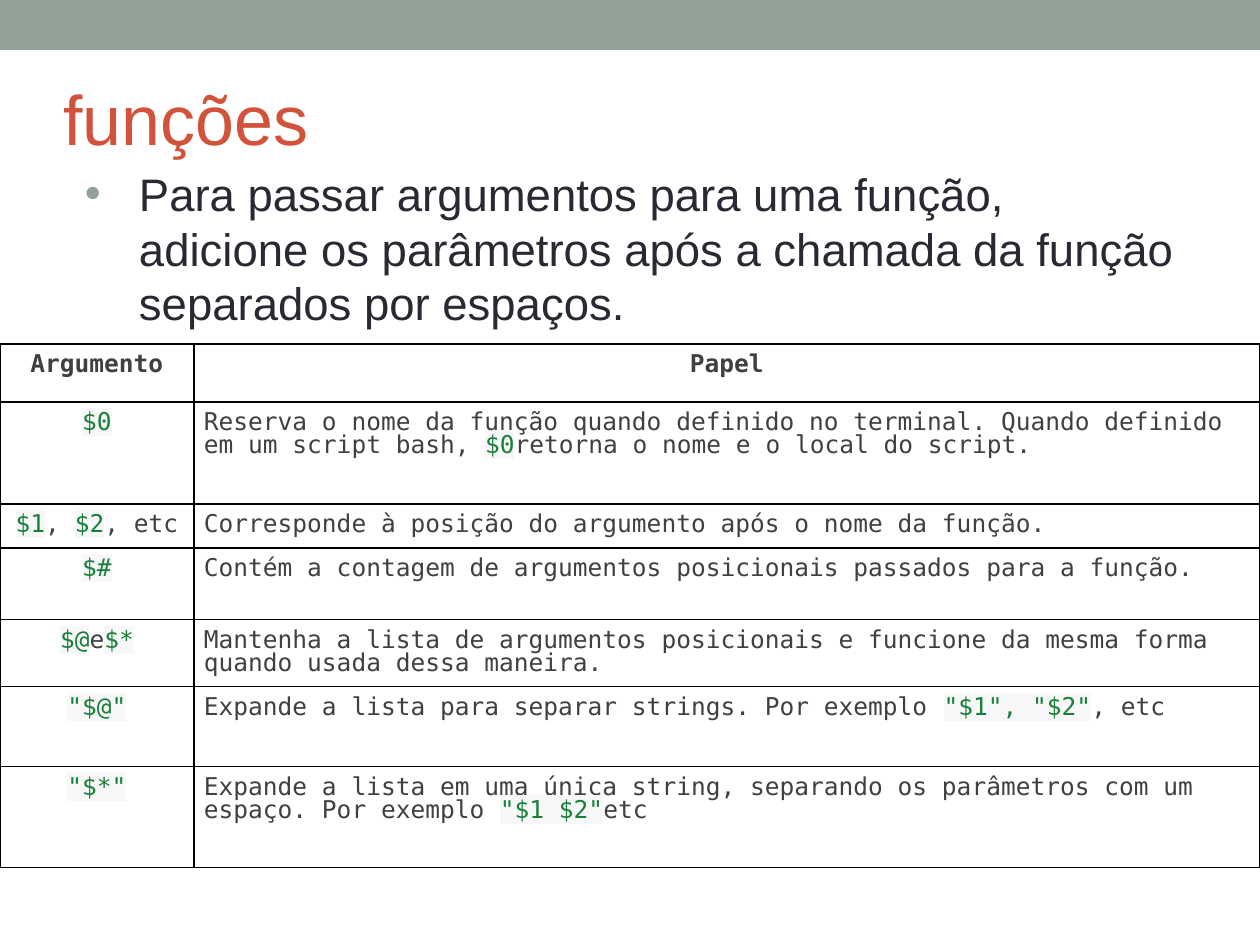
from dataclasses import dataclass

from lxml import etree
from pptx import Presentation, util as u
from pptx.dml.color import RGBColor
from pptx.enum import shapes, text
from pptx.oxml import ns

TITLE = "funções"
BODY = ("Para passar argumentos para uma função, adicione os parâmetros "
        "após a chamada da função separados por espaços.")
CODE_MARK = "`"
ROWS = [
    (58, "Argumento", "Papel"),
    (102, "`$0`", "Reserva o nome da função quando definido no terminal. Quando definido "
                  "em um script bash, `$0`retorna o nome e o local do script."),
    (44, "`$1`, `$2`, etc", "Corresponde à posição do argumento após o nome da função."),
    (72, "`$#`", "Contém a contagem de argumentos posicionais passados para a função."),
    (67, "`$@`e`$*`", "Mantenha a lista de argumentos posicionais e funcione da mesma "
                      "forma quando usada dessa maneira."),
    (80, '`"$@"`', 'Expande a lista para separar strings. Por exemplo `"$1", "$2"`, etc'),
    (101, '`"$*"`', "Expande a lista em uma única string, separando os parâmetros com um "
                    'espaço. Por exemplo `"$1 $2"`etc'),
]
COLUMNS = (194, 1066)
WIDTH, HEIGHT = 1260, 945
BAND_HEIGHT = 50
TITLE_BOX = (63, 73, 1134, 87)
BODY_BOX = (63, 160, 1134, 732)
TABLE_TOP = 344
CELL_MARGIN = 10


@dataclass(frozen=True)
class Theme:
    band: str = "93A299"
    title: str = "D2533C"
    body: str = "292934"
    cell: str = "404040"
    code: str = "188038"
    highlight: str = "F7F7F7"
    border: str = "000000"
    sans: str = "Arial"
    mono: str = "DejaVu Sans Mono"
    title_size: int = 40
    body_size: int = 26
    cell_size: int = 14


THEME = Theme()


def px(length):
    return u.Emu(round(length * 914400 / 126))


def add_element(parent, tag, **attributes):
    return etree.SubElement(parent, ns.qn(tag), attributes)


def style_font(font, name, size, color=None, bold=False):
    font.name, font.size, font.bold = name, u.Pt(size), bold
    if color:
        font.color.rgb = RGBColor.from_string(color)


def place(shape, box):
    shape.left, shape.top, shape.width, shape.height = map(px, box)


def set_margins(target, left, top, right, bottom):
    target.margin_left, target.margin_top = px(left), px(top)
    target.margin_right, target.margin_bottom = px(right), px(bottom)


def add_band(slide):
    band = slide.shapes.add_shape(
        shapes.MSO_SHAPE.RECTANGLE, 0, 0, px(WIDTH), px(BAND_HEIGHT))
    band.shadow.inherit = False
    band.fill.solid()
    band.fill.fore_color.rgb = RGBColor.from_string(THEME.band)
    band.line.fill.background()


def fill_placeholder(shape, box, content, anchor, margins):
    place(shape, box)
    frame = shape.text_frame
    frame.text = content
    frame.word_wrap = True
    frame.auto_size = text.MSO_AUTO_SIZE.NONE
    frame.vertical_anchor = anchor
    set_margins(frame, *margins)
    paragraph = frame.paragraphs[0]
    paragraph.alignment = text.PP_ALIGN.LEFT
    return paragraph


def add_bullet(paragraph):
    properties = paragraph._p.get_or_add_pPr()
    properties.set("marL", str(px(63)))
    properties.set("indent", str(px(-54)))
    color = add_element(properties, "a:buClr")
    add_element(color, "a:srgbClr", val=THEME.band)
    add_element(properties, "a:buFont", typeface=THEME.sans)
    add_element(properties, "a:buChar", char="•")


def add_borders(cell):
    properties = cell._tc.get_or_add_tcPr()
    for side in ("a:lnL", "a:lnR", "a:lnT", "a:lnB"):
        line = add_element(properties, side, w=str(u.Pt(0.75)))
        fill = add_element(line, "a:solidFill")
        add_element(fill, "a:srgbClr", val=THEME.border)


def add_runs(paragraph, content):
    for index, part in enumerate(content.split(CODE_MARK)):
        if not part:
            continue
        is_code = index % 2 == 1
        run = paragraph.add_run()
        run.text = part
        run.font.color.rgb = RGBColor.from_string(THEME.code if is_code else THEME.cell)
        if is_code:
            highlight = add_element(run.font._element, "a:highlight")
            add_element(highlight, "a:srgbClr", val=THEME.highlight)


def fill_cell(cell, content, centered, bold):
    add_borders(cell)
    cell.fill.background()
    set_margins(cell, *[CELL_MARGIN] * 4)
    paragraph = cell.text_frame.paragraphs[0]
    paragraph.alignment = text.PP_ALIGN.CENTER if centered else text.PP_ALIGN.LEFT
    paragraph.line_spacing = 0.8
    paragraph.space_after = u.Pt(15)
    style_font(paragraph.font, THEME.mono, THEME.cell_size, bold=bold)
    add_runs(paragraph, content)


def add_argument_table(slide):
    table_height = sum(row[0] for row in ROWS)
    table = slide.shapes.add_table(
        len(ROWS), len(COLUMNS), 0, px(TABLE_TOP), px(WIDTH), px(table_height)).table
    table.horz_banding = False
    for column, width in zip(table.columns, COLUMNS):
        column.width = px(width)
    for row_index, (height, *contents) in enumerate(ROWS):
        table.rows[row_index].height = px(height)
        is_header = row_index == 0
        for column_index, content in enumerate(contents):
            fill_cell(table.cell(row_index, column_index), content,
                      is_header or column_index == 0, is_header)


def main():
    presentation = Presentation()
    presentation.slide_width, presentation.slide_height = px(WIDTH), px(HEIGHT)
    slide = presentation.slides.add_slide(presentation.slide_layouts[1])
    add_band(slide)

    title = fill_placeholder(slide.shapes.title, TITLE_BOX, TITLE,
                             text.MSO_ANCHOR.BOTTOM, (0, 1, 0, 0))
    style_font(title.font, THEME.sans, THEME.title_size, THEME.title)

    body = fill_placeholder(slide.placeholders[1], BODY_BOX, BODY,
                            text.MSO_ANCHOR.TOP, (13, 6, 13, 6))
    add_bullet(body)
    body.space_before = u.Pt(3.6)
    style_font(body.font, THEME.sans, THEME.body_size, THEME.body)

    add_argument_table(slide)
    presentation.save("out.pptx")


if __name__ == "__main__":
    main()
